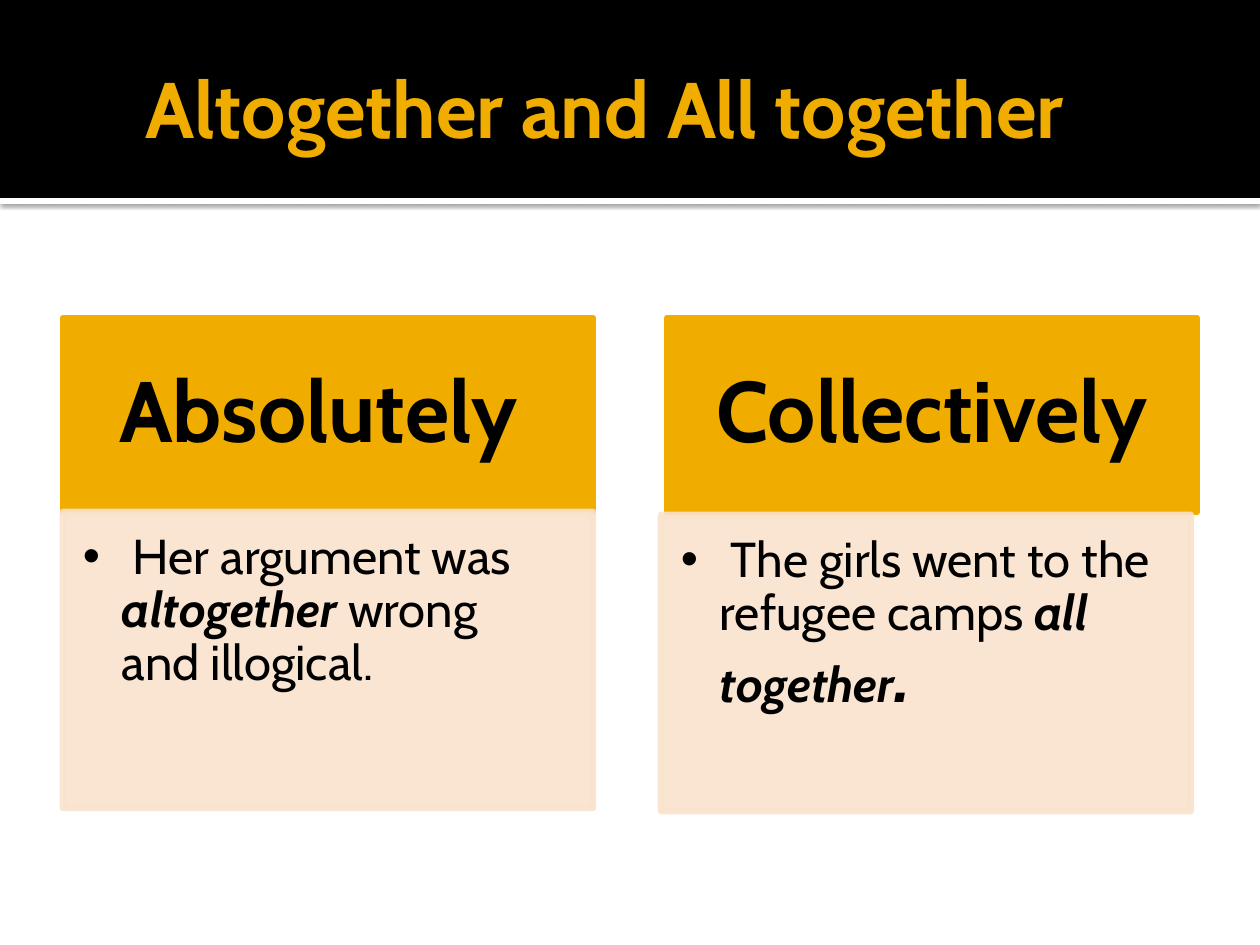
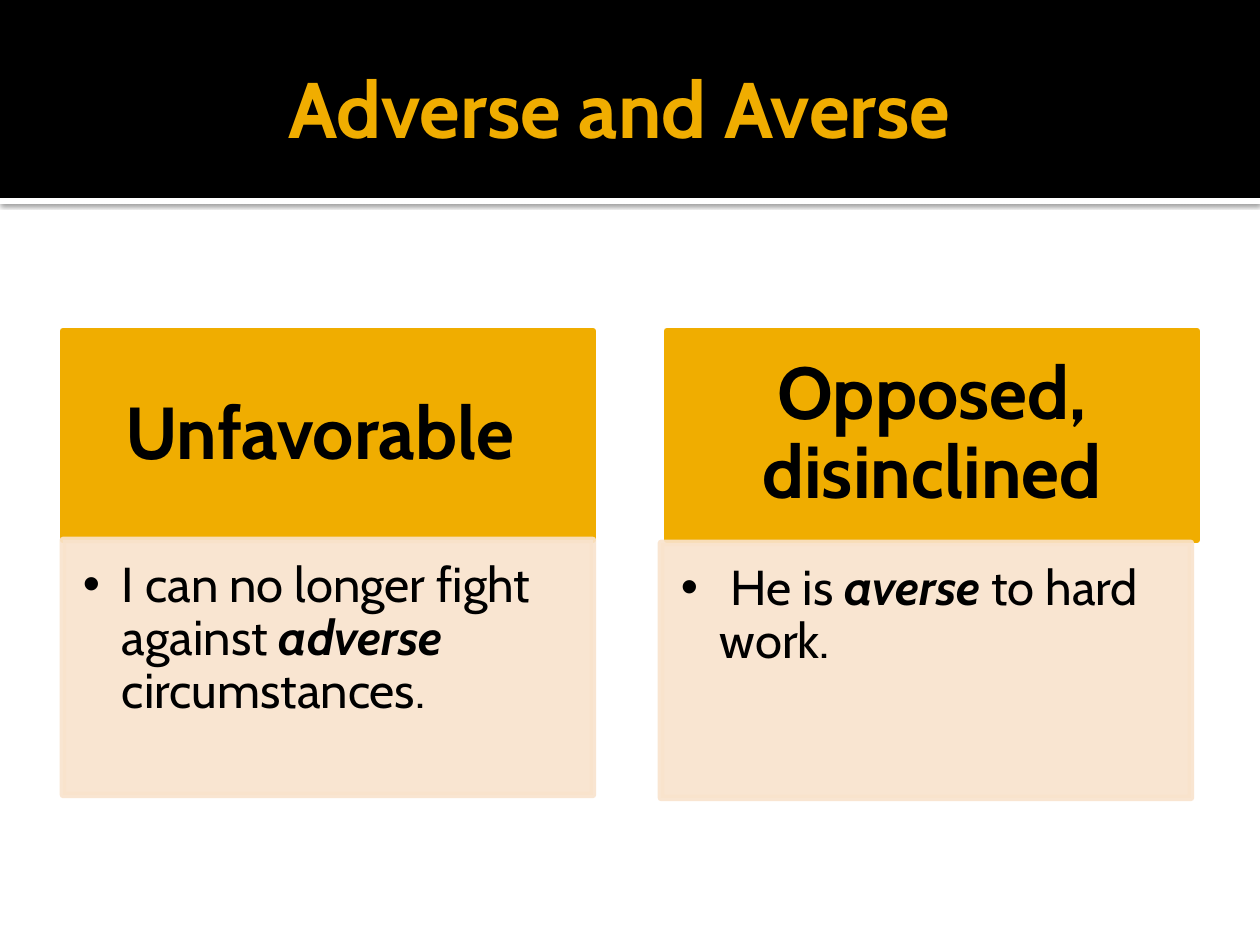
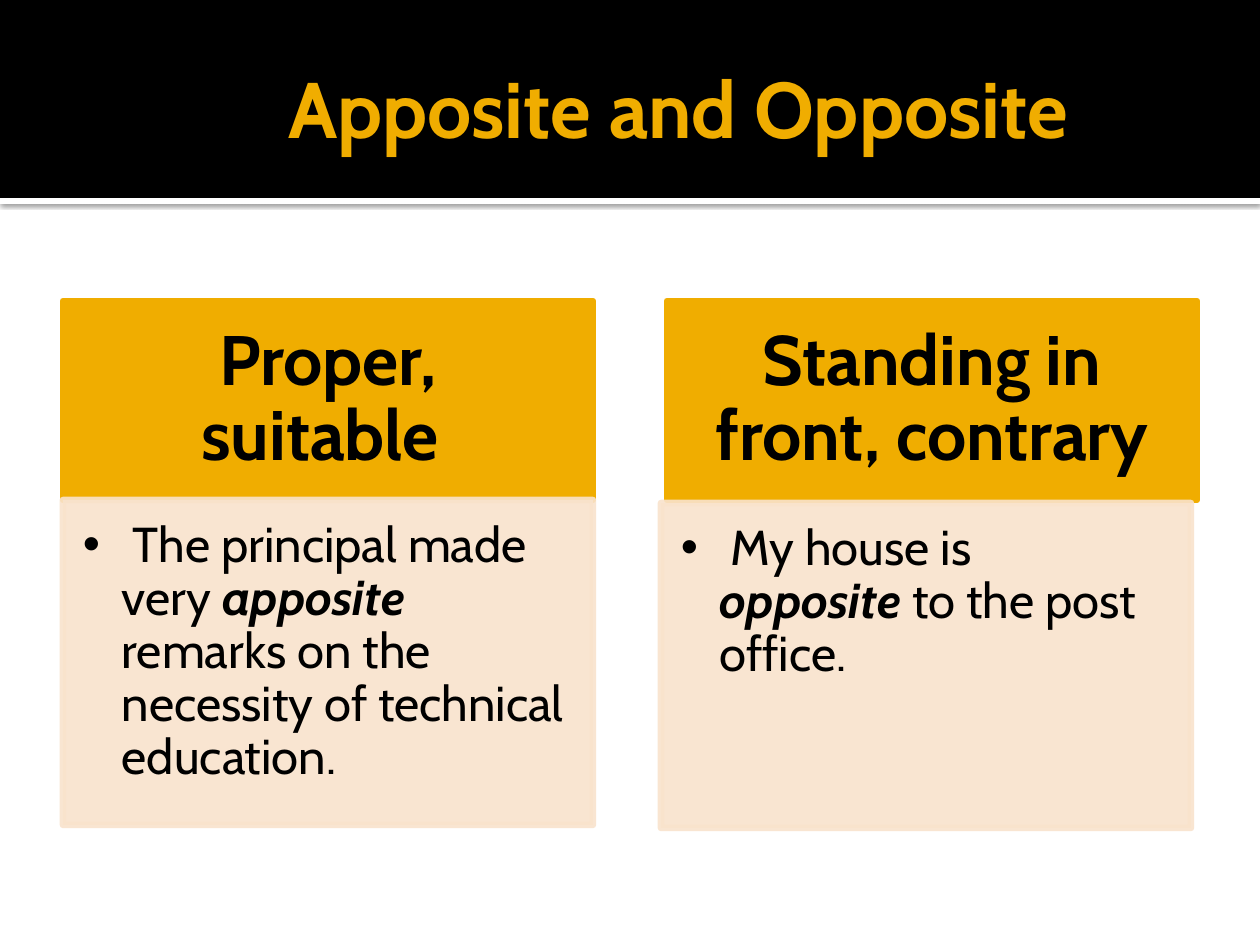
from dataclasses import dataclass

from pptx import Presentation
from pptx.dml.color import RGBColor
from pptx.enum.shapes import MSO_SHAPE
from pptx.enum.text import MSO_ANCHOR, MSO_AUTO_SIZE, PP_ALIGN
from pptx.oxml.ns import qn
from pptx.util import Emu, Pt

RECT = MSO_SHAPE.RECTANGLE
TOP, MIDDLE = MSO_ANCHOR.TOP, MSO_ANCHOR.MIDDLE
LEFT, CENTER = PP_ALIGN.LEFT, PP_ALIGN.CENTER
NO_FIT = MSO_AUTO_SIZE.NONE

SCALE = 914400 // 126
WIDTH, HEIGHT = 1260, 945
EDGE, CARD = 63, 530
BAND, BAR = 198, 6
MID = 563
NUDGE = (-6, 3)
HANG = 39


@dataclass(frozen=True)
class Theme:
    font: str = "Cabin"
    black: RGBColor = RGBColor(0x00, 0x00, 0x00)
    white: RGBColor = RGBColor(0xFF, 0xFF, 0xFF)
    gold: RGBColor = RGBColor(0xF0, 0xAD, 0x00)
    cream: RGBColor = RGBColor(0xF9, 0xE3, 0xCC)
    title: int = 45
    body: int = 28
    stop: int = 41
    line: float = 3.78


THEME = Theme()

LESSONS = [
    {
        "title": "Altogether and All together", "indent": 83,
        "size": 49, "head": 194, "panel": 296,
        "cards": [
            ("Absolutely ", [" Her argument was ", "altogether", " wrong and illogical."]),
            ("Collectively", [" The girls went to the refugee camps ", "all together", "."]),
        ],
    },
    {
        "title": "Adverse and Averse", "indent": 225,
        "size": 42, "head": 209, "panel": 255,
        "cards": [
            ("Unfavorable ", ["I can no longer fight against ", "adverse", " circumstances."]),
            ("Opposed, disinclined", [" He is ", "averse", " to hard work."]),
        ],
    },
    {
        "title": "Apposite and Opposite", "indent": 225,
        "size": 40, "head": 199, "panel": 325,
        "cards": [
            ("Proper, suitable ", [" The principal made very ", "apposite",
                                   " remarks on the necessity of technical education."]),
            ("Standing in front, contrary", [" My house is ", "opposite", " to the post office."]),
        ],
    },
]


def px(count):
    return Emu(count * SCALE)


def style(font, size, color, bold=False):
    font.name = THEME.font
    font.size = Pt(size)
    font.color.rgb = color
    font.bold = bold


def inset(frame, left, top, right, bottom):
    frame.margin_left, frame.margin_top = px(left), px(top)
    frame.margin_right, frame.margin_bottom = px(right), px(bottom)


def add_rect(slide, left, top, width, height, color, edge=None):
    shape = slide.shapes.add_shape(RECT, px(left), px(top), px(width), px(height))
    shape.fill.solid()
    shape.fill.fore_color.rgb = color
    if edge:
        shape.line.color.rgb = color
        shape.line.width = Pt(edge)
    else:
        shape.line.fill.background()
    shape.shadow.inherit = False
    return shape


def add_child(parent, tag, **attrs):
    child = parent.makeelement(qn(tag), attrs)
    parent.append(child)
    return child


def fade(shape, share):
    for color in shape.element.spPr.iter(qn("a:srgbClr")):
        add_child(color, "a:alpha", val=str(share * 1000))


def add_shadow(shape):
    effects = shape.element.spPr.find(qn("a:effectLst"))
    shadow = add_child(effects, "a:outerShdw", blurRad=str(Pt(2.5)), dist=str(Pt(0.8)),
                       dir="5400000", algn="t", rotWithShape="0")
    color = add_child(shadow, "a:srgbClr", val=str(THEME.black))
    add_child(color, "a:alpha", val="60000")


def share(layout, shapes):
    for number, shape in enumerate(shapes, 100):
        shape.element.xpath(".//p:cNvPr")[0].set("id", str(number))
        layout.shapes.element.insert(2, shape.element)


def add_band(slide):
    band = add_rect(slide, 0, 0, WIDTH, BAND, THEME.black)
    bar = add_rect(slide, 0, BAND, WIDTH, BAR, THEME.white)
    add_shadow(bar)
    share(slide.slide_layout, [band, bar])


def set_title(slide, text, indent):
    title = slide.shapes.title
    title.left, title.top = px(EDGE), px(21)
    title.width, title.height = px(WIDTH - 2 * EDGE), px(173)
    frame = title.text_frame
    frame.text = text
    frame.auto_size = NO_FIT
    frame.vertical_anchor = MIDDLE
    inset(frame, indent, 6, 6, 6)
    para = frame.paragraphs[0]
    para.alignment = LEFT
    style(para.font, THEME.title, THEME.gold, True)


def set_frame(shape, anchor, align):
    frame = shape.text_frame
    frame.word_wrap = True
    frame.vertical_anchor = anchor
    para = frame.paragraphs[0]
    para.alignment = align
    para.line_spacing = 0.9
    return frame, para


def add_head(slide, left, top, height, text, size):
    shape = add_rect(slide, left, top, CARD, height, THEME.gold, THEME.line)
    frame, para = set_frame(shape, MIDDLE, CENTER)
    side, rise = size - 1, round(size * 0.57)
    inset(frame, side, rise, side, rise)
    para.text = text
    style(para.font, size, THEME.black, True)


def add_panel(slide, left, top, height, parts):
    shape = add_rect(slide, left, top, CARD, height, THEME.cream, THEME.line)
    fade(shape, 90)
    frame, para = set_frame(shape, TOP, LEFT)
    inset(frame, 20, 20, 28, 30)
    props = para._p.get_or_add_pPr()
    props.set("marL", str(px(HANG)))
    props.set("indent", str(-px(HANG)))
    add_child(props, "a:buFont", typeface="Arial")
    add_child(props, "a:buChar", char="•")
    style(para.font, THEME.body, THEME.black)
    for place, text in enumerate(parts):
        run = para.add_run()
        run.text = text
        stop = text == "."
        if place == 1 or stop:
            run.font.bold = run.font.italic = True
        if stop:
            run.font.size = Pt(THEME.stop)


def add_cards(slide, lesson):
    head, panel = lesson["head"], lesson["panel"]
    top = MID - (head + panel) // 2
    spots = [(EDGE, 0, 0), (WIDTH - EDGE - CARD, *NUDGE)]
    for (left, right, down), (name, parts) in zip(spots, lesson["cards"]):
        add_head(slide, left, top, head, name, lesson["size"])
        add_panel(slide, left + right, top + head + down, panel, parts)


def main():
    deck = Presentation()
    deck.slide_width, deck.slide_height = px(WIDTH), px(HEIGHT)
    layout = deck.slide_layouts[5]
    for place, lesson in enumerate(LESSONS):
        slide = deck.slides.add_slide(layout)
        if place == 0:
            add_band(slide)
        set_title(slide, lesson["title"], lesson["indent"])
        add_cards(slide, lesson)
    deck.save("out.pptx")


main()
